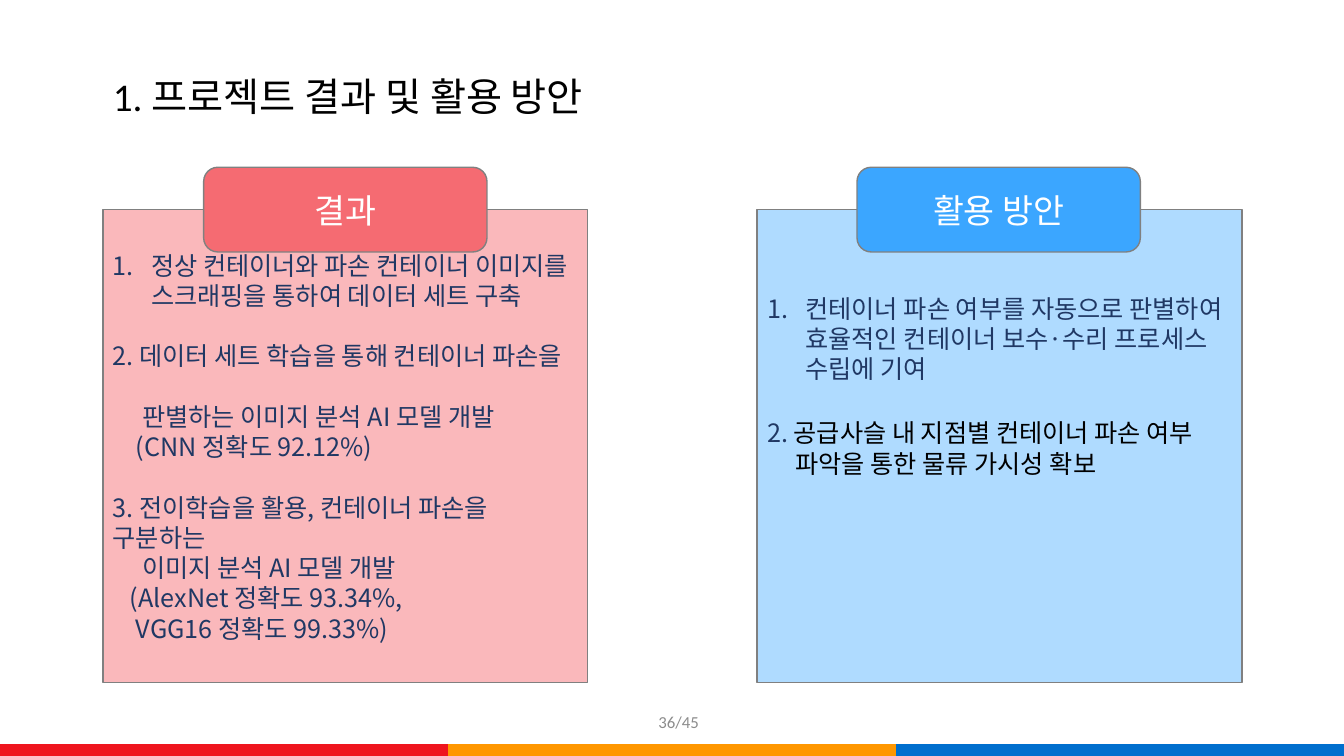
from lxml import etree
from pptx import Presentation
from pptx.dml.color import RGBColor
from pptx.enum import shapes, text
from pptx.oxml import ns
from pptx.util import Inches, Pt

TITLE = "1. 프로젝트 결과 및 활용 방안"
PAGE = "36/45"
BANDS = ["EF151E", "FF9700", "006FCE"]
NAVY, BLACK, WHITE, GRAY = "203864", "000000", "FFFFFF", "808080"
HANGUL = "Noto Sans CJK KR"
PITCH = 21.6  # points from line to line

# Each line: left indent, space before in points, runs of (words, colour)
CARDS = [
    dict(left=1.02, tab=2.02, head="결과", dark="F56B72", pale="FAB8BB", top=0.4, lines=[
        ("1.", 0, [("정상 컨테이너와 파손 컨테이너 이미지를 스크래핑을 통하여 데이터 세트 구축", NAVY)]),
        (0, PITCH, [("2. 데이터 세트 학습을 통해 컨테이너 파손을", NAVY)]),
        (0.29, PITCH, [("판별하는 이미지 분석 AI 모델 개발", NAVY)]),
        (0.23, 0, [("(CNN 정확도 92.12%)", NAVY)]),
        (0, PITCH, [("3. 전이학습을 활용, 컨테이너 파손을 구분하는", NAVY)]),
        (0.29, 0, [("이미지 분석 AI 모델 개발", NAVY)]),
        (0.17, 0, [("(AlexNet 정확도 93.34%,", NAVY)]),
        (0.23, 0, [("VGG16 정확도 99.33%)", NAVY)]),
    ]),
    dict(left=7.51, tab=8.5, head="활용 방안", dark="3BA6FF", pale="AFDBFF", top=0.83, lines=[
        ("1.", 0, [("컨테이너 파손 여부를 자동으로 판별하여 효율적인 컨테이너 보수·수리 프로세스\n수립에 기여", NAVY)]),
        (0, 24, [("2. ", NAVY), ("공급사슬 내 지점별 컨테이너 파손 여부", BLACK)]),
        (0.28, 0, [("파악을 통한 물류 가시성 확보", BLACK)]),
    ]),
]


def color(code):
    return RGBColor.from_string(code)


def assign(item, **values):
    for name, value in values.items():
        setattr(item, name, value)


def place(item, left, top, width, height):
    assign(item, left=Inches(left), top=Inches(top),
           width=Inches(width), height=Inches(height))


def write(para, words, size, code, face="Calibri"):
    """Add runs with Latin and East Asian fonts, breaking at each newline."""
    for i, part in enumerate(words.split("\n")):
        if i:
            para.add_line_break()
        run = para.add_run()
        run.text = part
        assign(run.font, size=Pt(size), name=face)
        run.font.color.rgb = color(code)
        etree.SubElement(run._r.get_or_add_rPr(), ns.qn("a:ea"), typeface=HANGUL)


def box(kind, fill, *spot):
    shape = slide.shapes.add_shape(kind, *map(Inches, spot))
    shape.shadow.inherit = False
    shape.fill.solid()
    shape.fill.fore_color.rgb = color(fill)
    shape.line.color.rgb = color(GRAY)
    shape.line.width = Pt(1)
    return shape


def indent(para, left):
    """Indent by inches, or number the first item."""
    props = para._p.get_or_add_pPr()
    if left == "1.":
        props.set("marL", str(Inches(0.38)))
        props.set("indent", str(-Inches(0.38)))
        etree.SubElement(props, ns.qn("a:buAutoNum"), type="arabicPeriod")
    else:
        props.set("marL", str(Inches(left)))


def card(left, tab, head, dark, pale, top, lines):
    body = box(shapes.MSO_SHAPE.RECTANGLE, pale, left, 2.08, 4.81, 4.69)
    frame = body.text_frame
    assign(frame, word_wrap=True, vertical_anchor=text.MSO_ANCHOR.TOP,
           margin_top=Inches(top), margin_right=Inches(0.05))
    for i, (inset, gap, runs) in enumerate(lines):
        para = frame.add_paragraph() if i else frame.paragraphs[0]
        assign(para, alignment=text.PP_ALIGN.LEFT, line_spacing=Pt(PITCH))
        if gap:
            para.space_before = Pt(gap)
        indent(para, inset)
        for words, code in runs:
            write(para, words, 18, code, HANGUL)

    label = box(shapes.MSO_SHAPE.ROUNDED_RECTANGLE, dark, tab, 1.66, 2.81, 0.84)
    label.text_frame.vertical_anchor = text.MSO_ANCHOR.MIDDLE
    para = label.text_frame.paragraphs[0]
    para.alignment = text.PP_ALIGN.CENTER
    write(para, head, 24, WHITE)


deck = Presentation()
assign(deck, slide_width=Inches(13.33), slide_height=Inches(7.5))
slide = deck.slides.add_slide(deck.slide_layouts[5])

grid = slide.shapes.add_table(1, len(BANDS), Inches(0), Inches(7.38),
                              Inches(13.33), Inches(0.12)).table
for cell, code in zip(grid.rows[0].cells, BANDS):
    assign(cell, margin_top=0, margin_bottom=0)
    for side in ("lnL", "lnR", "lnT", "lnB"):
        edge = etree.SubElement(cell._tc.get_or_add_tcPr(), ns.qn("a:" + side), w="0")
        etree.SubElement(edge, ns.qn("a:noFill"))
    cell.fill.solid()
    cell.fill.fore_color.rgb = color(code)
    etree.SubElement(cell.text_frame.paragraphs[0]._p, ns.qn("a:endParaRPr"), sz="100")

for entry in CARDS:
    card(**entry)

title = slide.shapes.title
place(title, 1.02, 0.49, 10.83, 0.98)
assign(title.text_frame, auto_size=text.MSO_AUTO_SIZE.NONE, word_wrap=True,
       vertical_anchor=text.MSO_ANCHOR.MIDDLE)
para = title.text_frame.paragraphs[0]
assign(para, alignment=text.PP_ALIGN.LEFT, line_spacing=0.9)
write(para, TITLE, 28, BLACK)

page = slide.shapes.add_textbox(*map(Inches, (6.26, 6.96, 0.77, 0.4)))
assign(page.text_frame, word_wrap=True, vertical_anchor=text.MSO_ANCHOR.MIDDLE)
para = page.text_frame.paragraphs[0]
para.alignment = text.PP_ALIGN.RIGHT
write(para, PAGE, 12, "8C8C8C")

deck.save("out.pptx")
